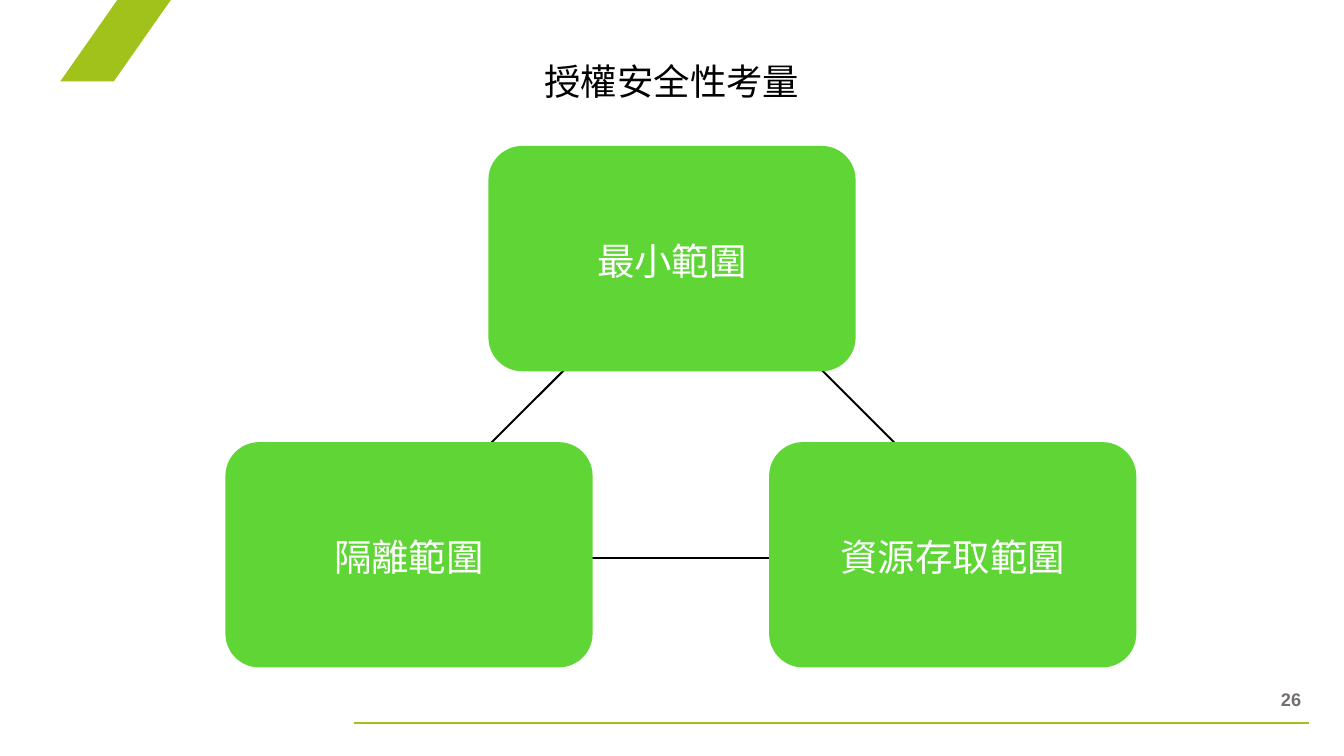
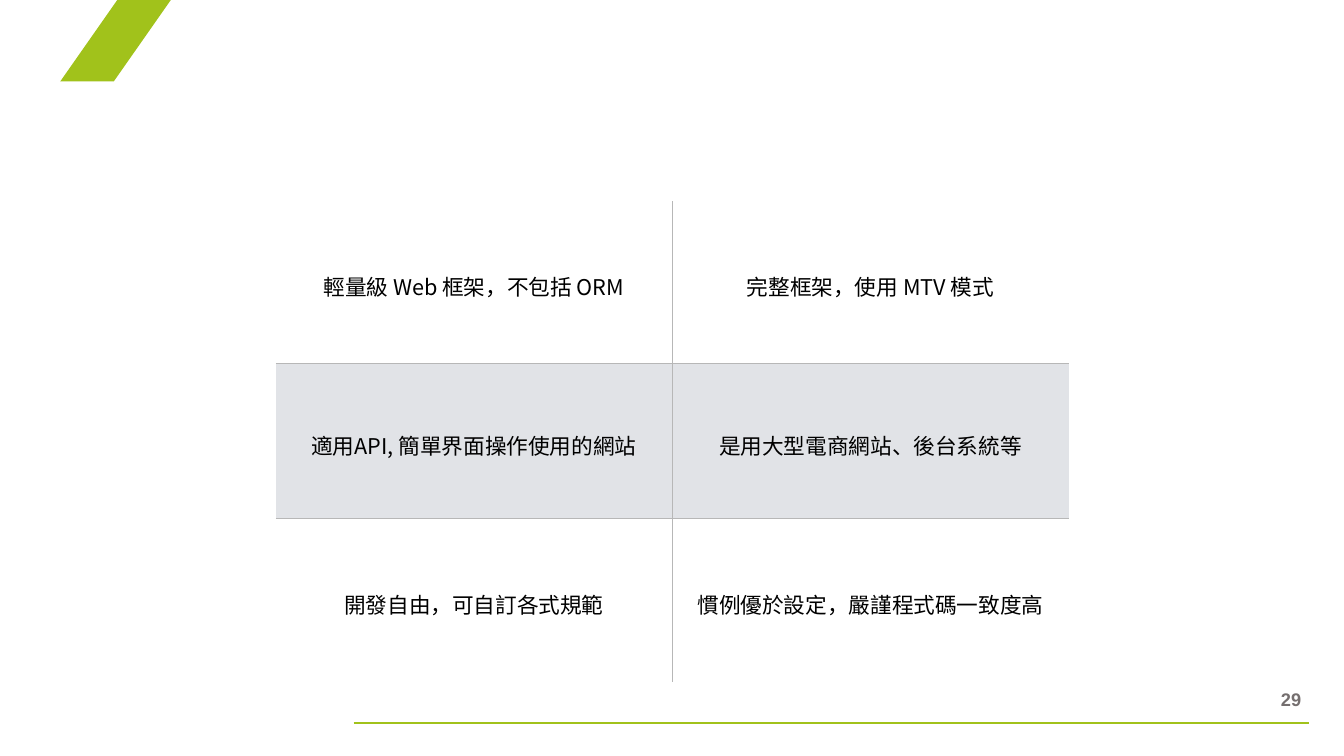
import pptx
import pptx.util
import pptx.dml.color
import pptx.enum.shapes
import pptx.enum.text
import pptx.oxml.ns
from lxml import etree

Inches, Pt = pptx.util.Inches, pptx.util.Pt
RGBColor = pptx.dml.color.RGBColor
SHAPE = pptx.enum.shapes.MSO_SHAPE
ALIGN = pptx.enum.text.PP_ALIGN
ANCHOR = pptx.enum.text.MSO_ANCHOR
qn = pptx.oxml.ns.qn

ACCENT = RGBColor(0xA1, 0xC2, 0x1B)
BOX_GREEN = RGBColor(0x5F, 0xD6, 0x35)
BLACK = RGBColor(0, 0, 0)
OFF_WHITE = RGBColor(0xFE, 0xFE, 0xFE)
NUMBER_GREY = RGBColor(0x75, 0x6F, 0x6F)
BAND_GREY = RGBColor(0xE1, 0xE3, 0xE7)
RULE_GREY = RGBColor(0xB7, 0xB7, 0xB7)
CJK_FONT, NUMBER_FONT = "Noto Sans CJK TC", "Arial"
NO_STYLE = "{2D5ABB26-0587-4C30-8999-92F81FD0307C}"

TITLE = "授權安全性考量"
BOX_SIZE = (5.18, 3.18)
BOXES = [("最小範圍", 6.89, 2.06), ("隔離範圍", 3.18, 6.24), ("資源存取範圍", 10.85, 6.24)]
LINKS = [(8.15, 7.88, 11.08, 7.88), (11.5, 5.13, 12.89, 6.52), (8.05, 5.13, 6.66, 6.52)]

COMPARISON = [
    ("輕量級 Web 框架，不包括 ORM", "完整框架，使用 MTV 模式"),
    ("適用API, 簡單界面操作使用的網站", "是用大型電商網站、後台系統等"),
    ("開發自由，可自訂各式規範", "慣例優於設定，嚴謹程式碼一致度高"),
]
COLUMN_WIDTHS = (5.59, 5.6)
ROW_HEIGHTS = (2.29, 2.19, 2.31)
BANDED_ROW = 1


def write_text(frame, text, *, size, color, font=CJK_FONT, bold=False,
               align=ALIGN.CENTER, spacing=None):
    paragraph = frame.paragraphs[0]
    paragraph.alignment = align
    if spacing:
        paragraph.line_spacing = spacing
    run = paragraph.add_run()
    run.text = text
    run.font.size, run.font.bold, run.font.name = Pt(size), bold, font
    run.font.color.rgb = color
    etree.SubElement(run.font._element, qn("a:ea"), typeface=font)


def set_insets(target, top=0):
    """Clear the margins of a text frame or a cell, except the top one."""
    target.margin_left = target.margin_right = target.margin_bottom = 0
    target.margin_top = Inches(top)


def add_text_box(slide, text, left, top, width, height, **text_format):
    frame = slide.shapes.add_textbox(*map(Inches, (left, top, width, height))).text_frame
    frame.word_wrap = True
    set_insets(frame)
    write_text(frame, text, **text_format)


def add_filled_shape(slide, preset, adjustment, color, left, top, width, height):
    shape = slide.shapes.add_shape(preset, *map(Inches, (left, top, width, height)))
    shape.adjustments[0] = adjustment
    shape.shadow.inherit = False
    shape.fill.solid()
    shape.fill.fore_color.rgb = color
    shape.line.fill.background()
    return shape


def add_line(slide, ends, color, width):
    line = slide.shapes.add_connector(
        pptx.enum.shapes.MSO_CONNECTOR.STRAIGHT, *map(Inches, ends))
    line.line.color.rgb = color
    line.line.width = Pt(width)
    etree.SubElement(line._element.spPr, qn("a:effectLst"))


def add_framed_slide(presentation, number):
    """Add a slide with the shared corner band, footer rule and slide number."""
    slide = presentation.slides.add_slide(presentation.slide_layouts[6])
    add_line(slide, (4.99, 10.2, 18.46, 10.2), ACCENT, 2.28)
    add_filled_shape(slide, SHAPE.PARALLELOGRAM, 0.7, ACCENT, 0.85, 0, 1.56, 1.15)
    add_text_box(slide, str(number), 18.07, 9.71, 0.42, 0.31, size=18.5,
                 color=NUMBER_GREY, font=NUMBER_FONT, bold=True, align=ALIGN.LEFT)
    return slide


def add_border(cell, side):
    border = etree.SubElement(cell._tc.get_or_add_tcPr(), qn("a:" + side), w=str(Pt(1)))
    fill = etree.SubElement(border, qn("a:solidFill"))
    etree.SubElement(fill, qn("a:srgbClr"), val=str(RULE_GREY))


def add_comparison_table(slide, left, top):
    table = slide.shapes.add_table(
        len(ROW_HEIGHTS), len(COLUMN_WIDTHS), Inches(left), Inches(top),
        Inches(sum(COLUMN_WIDTHS)), Inches(sum(ROW_HEIGHTS))).table
    table.first_row = table.horz_banding = False
    table._tbl.tblPr.find(qn("a:tableStyleId")).text = NO_STYLE
    for column, width in zip(table.columns, COLUMN_WIDTHS):
        column.width = Inches(width)
    for row_index, texts in enumerate(COMPARISON):
        table.rows[row_index].height = Inches(ROW_HEIGHTS[row_index])
        for column_index, text in enumerate(texts):
            cell = table.cell(row_index, column_index)
            inner_sides = (("lnL", column_index > 0),
                           ("lnR", column_index < len(texts) - 1),
                           ("lnT", row_index > 0),
                           ("lnB", row_index < len(COMPARISON) - 1))
            for side, is_inner in inner_sides:
                if is_inner:
                    add_border(cell, side)
            if row_index == BANDED_ROW:
                cell.fill.solid()
                cell.fill.fore_color.rgb = BAND_GREY
            else:
                cell.fill.background()
            set_insets(cell, top=0.06)
            cell.vertical_anchor = ANCHOR.MIDDLE
            write_text(cell.text_frame, text, size=22, color=BLACK, spacing=1.1)


def main():
    presentation = pptx.Presentation()
    presentation.slide_width, presentation.slide_height = Inches(18.96), Inches(10.67)

    scope_slide = add_framed_slide(presentation, 26)
    add_text_box(scope_slide, TITLE, 7.18, 0.77, 4.6, 0.82,
                 size=37, color=BLACK, spacing=1.1)
    for ends in LINKS:
        add_line(scope_slide, ends, BLACK, 2.04)
    for text, left, top in BOXES:
        box = add_filled_shape(scope_slide, SHAPE.ROUNDED_RECTANGLE, 0.15, BOX_GREEN,
                               left, top, *BOX_SIZE)
        set_insets(box.text_frame)
        box.text_frame.vertical_anchor = ANCHOR.MIDDLE
        write_text(box.text_frame, text, size=38, color=OFF_WHITE, spacing=1.1)

    add_comparison_table(add_framed_slide(presentation, 29), 3.89, 2.84)
    presentation.save("out.pptx")


if __name__ == "__main__":
    main()
